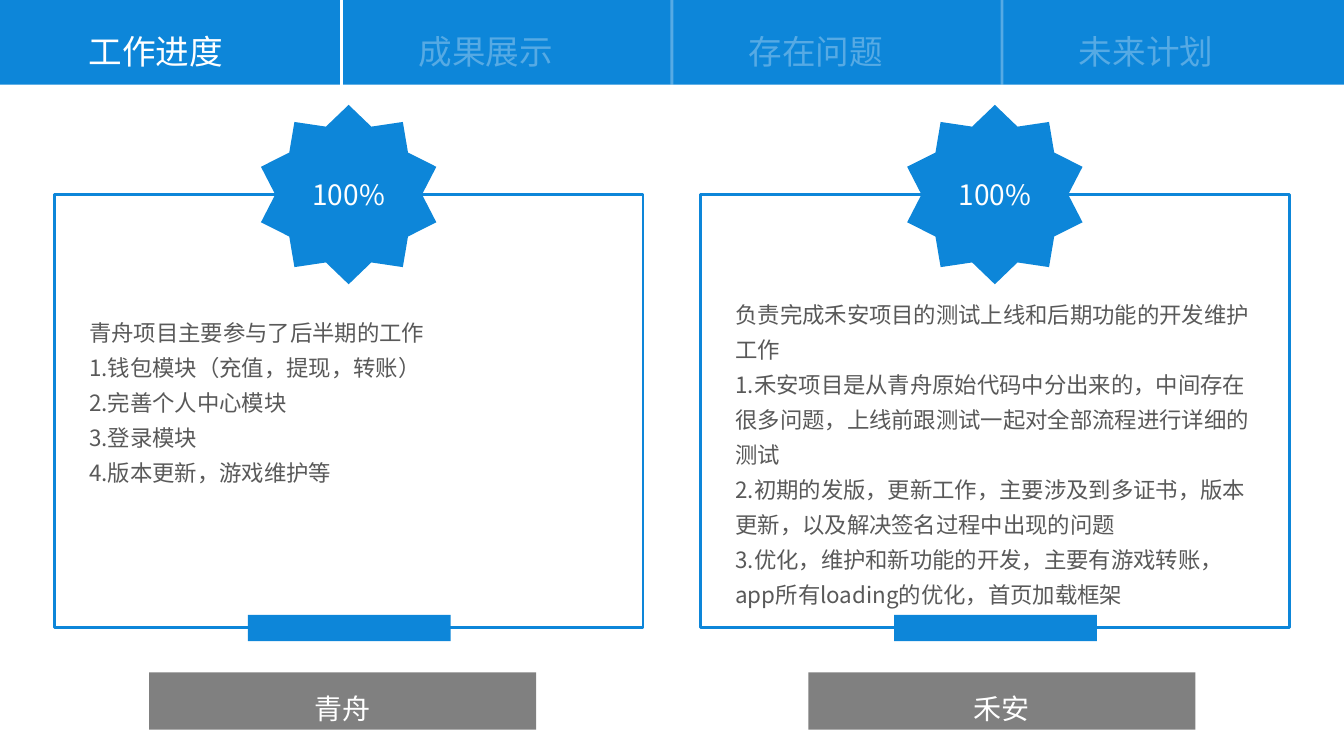
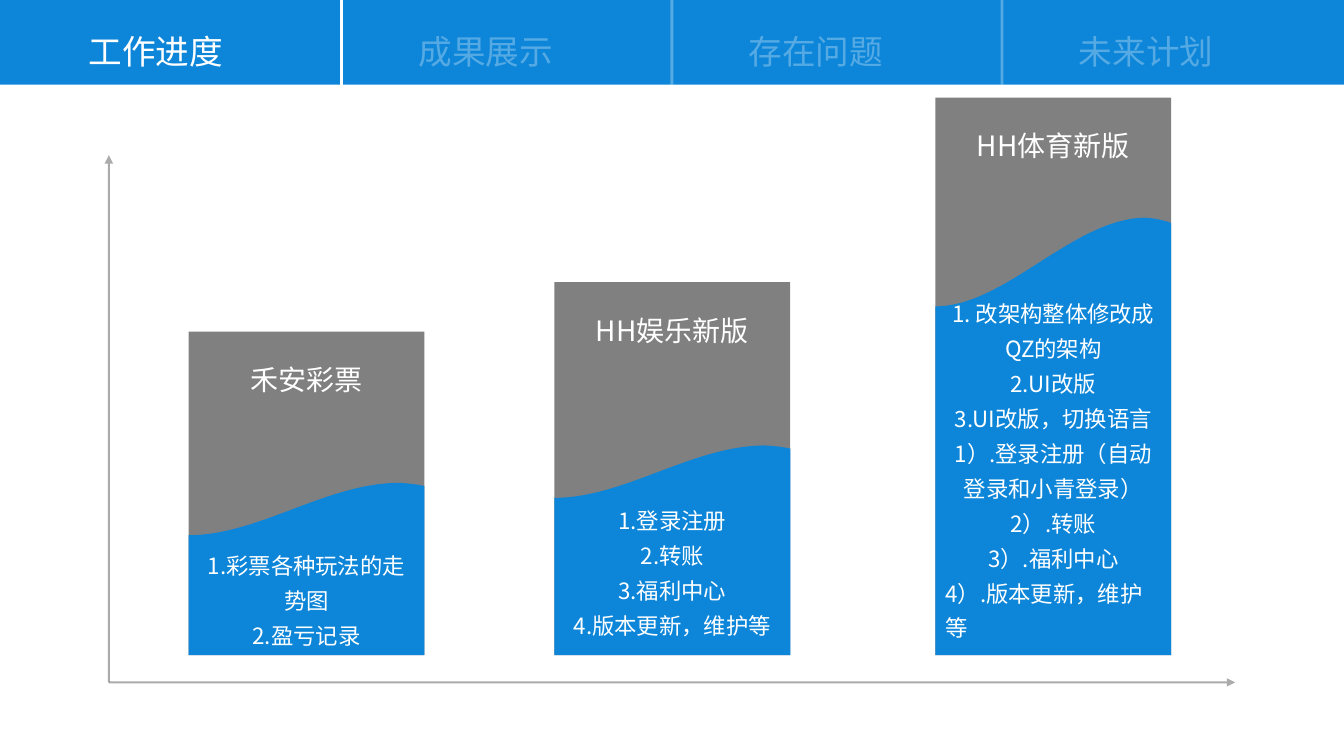
from lxml.etree import SubElement
from pptx import Presentation
from pptx.dml.color import RGBColor
from pptx.enum.shapes import MSO_CONNECTOR, MSO_SHAPE
from pptx.enum.text import MSO_ANCHOR, MSO_AUTO_SIZE, PP_ALIGN
from pptx.oxml.ns import qn
from pptx.util import Inches, Pt

# Shared look: a grid of 100 columns by 100 rows
WIDE, HIGH = Inches(13.33), Inches(7.5)
FONT = "Noto Sans CJK SC"
HUES = {"blue": "0D86D9", "gray": "808080", "ink": "595959", "white": "FFFFFF"}
TABS = ["工作进度", "成果展示", "存在问题", "未来计划"]
BAND, STEP = 11.2, 24.56  # band rows, tab columns

# Cards: name, first text row, lines
CARDS = [
    ("青舟", 40.53, [
        "青舟项目主要参与了后半期的工作",
        "1.钱包模块（充值，提现，转账）",
        "2.完善个人中心模块",
        "3.登录模块",
        "4.版本更新，游戏维护等"]),
    ("禾安", 38.13, [
        "负责完成禾安项目的测试上线和后期功能的开发维护工作",
        "1.禾安项目是从青舟原始代码中分出来的，中间存在很多问题，上线前跟测试一起对全部流程进行详细的测试",
        "2.初期的发版，更新工作，主要涉及到多证书，版本更新，以及解决签名过程中出现的问题",
        "3.优化，维护和新功能的开发，主要有游戏转账，app所有loading的优化，首页加载框架"]),
]

# Bars: name, left column, top row, wave row, wave drop, text row, lines
BASE, BROAD = 86.67, 17.55
BARS = [
    ("禾安彩票", 14.03, 43.87, 63.87, 6.93, 71.33,
     ["1.彩票各种玩法的走势图", "2.盈亏记录"]),
    ("HH娱乐新版", 41.25, 37.33, 58.93, 6.93, 65.33,
     ["1.登录注册", "2.转账", "3.福利中心", "4.版本更新，维护等"]),
    ("HH体育新版", 69.6, 12.93, 28.8, 11.73, 38,
     ["1. 改架构整体修改成QZ的架构", "2.UI改版",
      "3.UI改版，切换语言1）.登录注册（自动登录和小青登录）",
      "2）.转账", "3）.福利中心", "4）.版本更新，维护等"]),
]


def col(n):
    return int(WIDE * n / 100)


def row(n):
    return int(HIGH * n / 100)


def area(x, y, w, h):
    return col(x), row(y), col(w), row(h)


def paint(color, hue, alpha=100):
    """Set a colour and, if needed, its opacity in percent."""
    color.rgb = RGBColor.from_string(HUES[hue])
    if alpha < 100:
        node = color._xFill.find(qn("a:srgbClr"))
        SubElement(node, qn("a:alpha")).set("val", str(alpha * 1000))


def style(par, size, hue, align, alpha=100):
    par.alignment = align
    font = par.font
    font.size, font.name = Pt(size), FONT
    font.fill.solid()
    paint(font.fill.fore_color, hue, alpha)
    props = par._p.pPr.find(qn("a:defRPr"))
    SubElement(props, qn("a:ea")).set("typeface", FONT)


def write(shape, lines, size, hue, align=PP_ALIGN.LEFT, alpha=100):
    frame = shape.text_frame
    frame.text = "\n".join(lines)
    frame.word_wrap = True
    frame.auto_size = MSO_AUTO_SIZE.NONE
    frame.vertical_anchor = MSO_ANCHOR.TOP
    for par in frame.paragraphs:
        par.line_spacing = 1.3
        if shape.is_placeholder:
            par.space_before = Pt(0)
            props = par._p.get_or_add_pPr()
            props.set("marL", "0")
            props.set("indent", "0")
            SubElement(props, qn("a:buNone"))
        style(par, size, hue, align, alpha)
    return frame


def label(slide, box, lines, size, hue="white", align=PP_ALIGN.CENTER, alpha=100):
    shape = slide.shapes.add_textbox(*area(*box))
    return write(shape, lines, size, hue, align, alpha)


def place(slide, holder, box, lines, size, hue):
    """Move a placeholder to the front and fill it."""
    holder.left, holder.top, holder.width, holder.height = area(*box)
    slide.shapes._spTree.append(holder._element)
    write(holder, lines, size, hue)


def fill(shape, hue):
    shape.shadow.inherit = False
    shape.fill.solid()
    paint(shape.fill.fore_color, hue)
    shape.line.fill.background()
    return shape


def block(slide, box, hue, kind=MSO_SHAPE.RECTANGLE):
    return fill(slide.shapes.add_shape(kind, *area(*box)), hue)


def rule(slide, start, end, hue, width, alpha=100, arrow=False):
    line = slide.shapes.add_connector(
        MSO_CONNECTOR.STRAIGHT, col(start[0]), row(start[1]), col(end[0]), row(end[1]))
    line.line.width = Pt(width)
    line.line.fill.solid()
    paint(line.line.fill.fore_color, hue, alpha)
    if arrow:
        SubElement(line.line._ln, qn("a:tailEnd")).set("type", "triangle")
    SubElement(line._element.spPr, qn("a:effectLst"))


def curve(a, b, c, d, steps=24):
    """Points along a cubic curve, ends included."""
    for i in range(steps + 1):
        t = i / steps
        u = 1 - t
        yield tuple(u**3 * p + 3 * u * u * t * q + 3 * u * t * t * r + t**3 * s
                    for p, q, r, s in zip(a, b, c, d))


def wave(slide, x, y, drop):
    """Blue lower part of a bar, with a curved top edge."""
    edge = [(0, 1)]
    edge += curve((0.01, 1), (0.3, 0.98), (0.58, 0.03), (0.88, 0))
    edge += curve((0.88, 0), (0.91, 0), (0.96, 0.02), (1, 0.06), 8)
    spots = [(col(x + BROAD * p), row(y + drop * q)) for p, q in edge]
    spots += [(col(x + BROAD), row(BASE)), (col(x), row(BASE))]
    form = slide.shapes.build_freeform(*spots[0])
    form.add_line_segments(spots[1:], close=True)
    fill(form.convert_to_shape(), "blue")


def start(deck, layout):
    """New slide with the tab band; the first tab is the title."""
    slide = deck.slides.add_slide(deck.slide_layouts[layout])
    block(slide, (0, 0, 100, BAND), "blue")
    for i, name in enumerate(TABS):
        box = (5.85 + i * STEP, 1.87, 14.6, 7.6)
        if i == 0:
            place(slide, slide.shapes.title, box, [name], 24, "white")
        else:
            label(slide, box, [name], 24, align=PP_ALIGN.JUSTIFY, alpha=30)
            x = 25.43 + (i - 1) * STEP
            rule(slide, (x, 0), (x, BAND), "white", 2, 100 if i == 1 else 30)
    return slide


def card(slide, i, name, top, lines):
    x = 4.05 + i * 48.08
    # Frame and foot
    frame = block(slide, (x, 25.73, 43.8, 57.33), "blue")
    frame.fill.background()
    frame.line.width = Pt(2)
    paint(frame.line.color, "blue")
    block(slide, (x + 14.4, 81.33, 15.08, 3.47), "blue")
    # Badge
    star = block(slide, (x + 15.37, 13.87, 13.05, 23.73), "blue",
                 MSO_SHAPE.STAR_10_POINT)
    star.adjustments[0] = 0.398
    star.text_frame.text = "100%"
    star.text_frame.vertical_anchor = MSO_ANCHOR.MIDDLE
    style(star.text_frame.paragraphs[0], 20, "white", PP_ALIGN.CENTER)
    # List and name plate
    place(slide, slide.placeholders[i + 1], (x + 1.84, top, 40.1, 48),
          lines, 16, "ink")
    plate = 11.1 + i * 49.05
    block(slide, (plate, 88.93, 28.8, 7.6), "gray")
    label(slide, (plate, 89.47, 28.8, 7.2), [name], 20)


def bar(slide, name, x, top, crest, drop, first, lines):
    block(slide, (x, top, BROAD, BASE - top), "gray")
    wave(slide, x, crest, drop)
    label(slide, (x, top + 2.13, BROAD, 7.2), [name], 20)
    return label(slide, (x, first, BROAD, BASE - first), lines, 16)


def main():
    deck = Presentation()
    deck.slide_width, deck.slide_height = WIDE, HIGH

    # Two project cards
    slide = start(deck, 3)
    for i, item in enumerate(CARDS):
        card(slide, i, *item)

    # Bars between two axes
    slide = start(deck, 5)
    for end in [(8.1, 20.53), (91.9, 90.27)]:
        rule(slide, (8.1, 90.27), end, "ink", 1.5, 50, True)
    for item in BARS:
        text = bar(slide, *item)
    text.paragraphs[-1].alignment = PP_ALIGN.LEFT

    deck.save("out.pptx")


if __name__ == "__main__":
    main()
